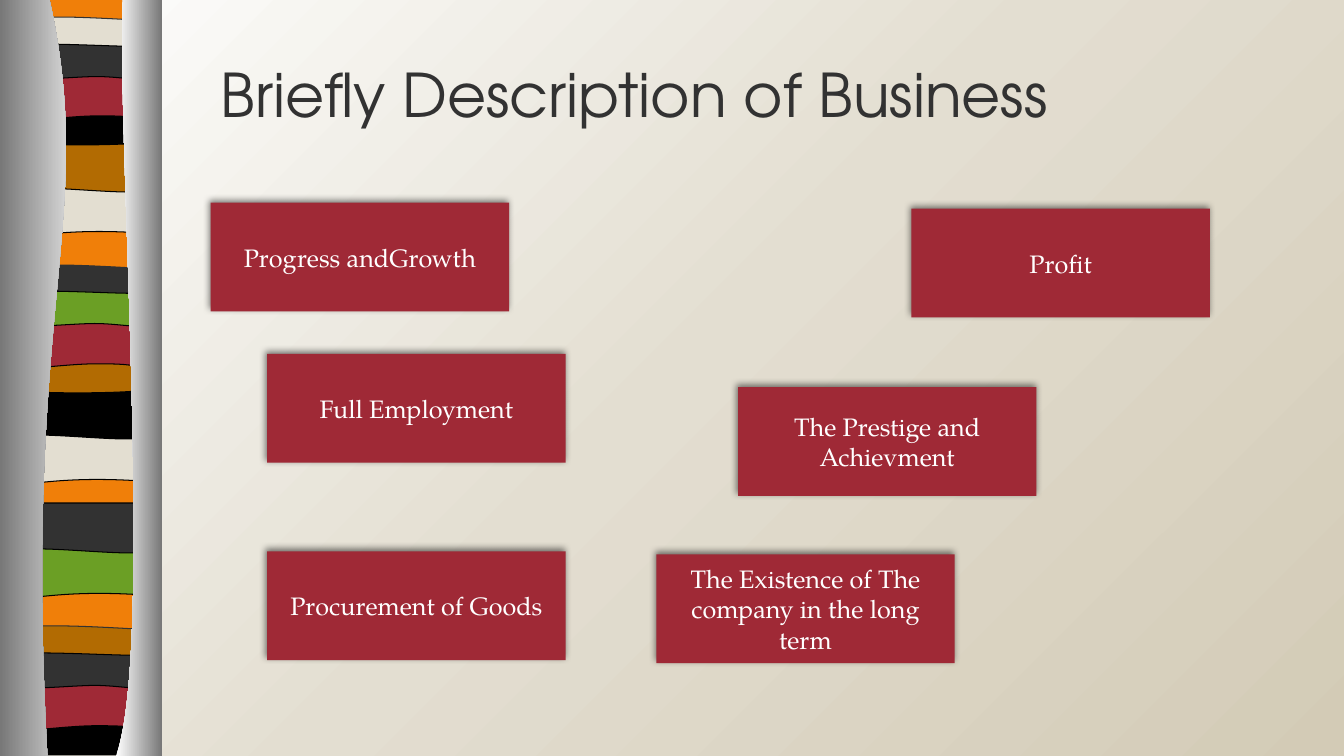
from copy import deepcopy

from lxml.etree import SubElement
from pptx import Presentation
from pptx.dml.color import RGBColor
from pptx.enum.shapes import MSO_SHAPE as Shape
from pptx.enum.text import MSO_ANCHOR as Anchor, PP_ALIGN as Align
from pptx.oxml.ns import qn
from pptx.util import Inches, Pt

WIDTH, HEIGHT = 13.33, 7.5

ORANGE, CREAM, CHARCOAL, CRIMSON = "F07F09", "E3DED1", "323232", "9F2936"
BLACK, BROWN, GREEN, WHITE, GREY = "000000", "B26B02", "6B9F25", "FFFFFF", "767676"

OUTLINES = {
    "wave": [(1.5, 0), (1.5, 0.47), [(0.46, 0.39), (0.24, 0.55), (0, 0.47)], (0, 0)],
    "swell": [(1.5, 0), (1.5, 0.47), [(1.25, 0.55), (0.46, 0.41), (0, 0.47)], (0, 0)],
    "crest": [(1.5, 0.05), (1.5, 0.29), [(1.25, 0.33), (0.25, 0.33), (0, 0.29)], (0, 0.05),
              [(0.1, 0), (0.33, 0.01), (0.58, 0.01)],
              [(0.83, 0.01), (1.31, 0.04), (1.5, 0.05)]],
    "sag": [(1.5, 0), (1.5, 0.33), [(1.25, 0.38), (0.25, 0.38), (0, 0.33)], (0, 0),
            [(0.92, 0.06), (1.19, 0), (1.5, 0)]],
    "arch": [(1.5, 0), (1.5, 0.47), [(1.27, 0.41), (1.17, 0.41), (0.92, 0.41)],
             [(0.67, 0.41), (0.23, 0.47), (0, 0.47)], (0, 0)],
    "lip": [(1.5, 0.05), (1.5, 0.35), [(1.4, 0.41), (1.17, 0.35), (0.92, 0.35)],
            [(0.68, 0.35), (0.16, 0.41), (0, 0.35)], (0, 0.05),
            [(0.22, 0), (1.02, 0.05), (1.27, 0.05)],
            [(1.51, 0.05), (1.44, 0.05), (1.5, 0.05)]],
    "base": [(1.5, 0), (1.5, 0.37), (0.02, 0.37), (0, 0),
             [(0.92, 0.06), (1.19, 0), (1.5, 0)]],
    "full": [(1.5, 0), (1.5, 7.48), (0, 7.48), (0, 0)],
}

BANDS = [
    ("full", ORANGE, 0.04, -0.01),
    ("wave", CREAM, 0.04, 1.85), ("swell", BROWN, 0.04, 1.41),
    ("crest", CREAM, 0.04, 0.16), ("sag", BLACK, 0.04, 1.07),
    ("arch", CRIMSON, 0.04, 0.74), ("lip", CHARCOAL, 0.04, 0.41),
    ("wave", CREAM, 0.02, 4.31), ("swell", BLACK, 0.02, 3.86),
    ("crest", CHARCOAL, 0.02, 2.62), ("sag", BROWN, 0.02, 3.53),
    ("arch", CRIMSON, 0.02, 3.2), ("lip", GREEN, 0.02, 2.86),
    ("wave", GREEN, 0.04, 5.44), ("swell", CHARCOAL, 0.04, 4.99),
    ("crest", BROWN, 0.02, 6.2), ("base", BLACK, 0.02, 7.12),
    ("arch", CRIMSON, 0.02, 6.79), ("lip", CHARCOAL, 0.02, 6.45),
]

LEFT_PANEL = [(0.49, -0.01), [(0.97, 2.17), (0.22, 2.96), (0.47, 7.5)],
              (0, 7.5), (-0.01, -0.01)]
RIGHT_PANEL = [(1.22, -0.01), [(1.15, 1.25), (1.54, 6.47), (1.15, 7.5)],
               (1.61, 7.5), (1.61, 0)]

GOALS = [
    ("Full Employment", 2.65, 3.51),
    ("The Existence of The company in the long term", 6.51, 5.5),
    ("Procurement of Goods", 2.65, 5.47),
    ("The Prestige and Achievment", 7.32, 3.84),
    ("Progress andGrowth", 2.09, 2.01),
    ("Profit", 9.04, 2.07),
]


def color(hex_text):
    return RGBColor.from_string(hex_text)


def fill_solid(shape, hex_text):
    shape.fill.solid()
    shape.fill.fore_color.rgb = color(hex_text)


def fill_gradient(shape, colors, angle=0):
    shape.fill.gradient()
    shape.fill.gradient_angle = angle
    stop_list = shape.element.spPr.find(qn("a:gradFill")).find(qn("a:gsLst"))
    for _ in colors[2:]:
        stop_list.append(deepcopy(stop_list[0]))
    for index, (stop, hex_text) in enumerate(zip(shape.fill.gradient_stops, colors)):
        stop.color.rgb = color(hex_text)
        stop.position = index / (len(colors) - 1)


def bend_curves(shape, segments):
    outline = next(shape.element.iter(qn("a:path")))
    lines = iter(outline.findall(qn("a:lnTo")))
    for segment in segments:
        line = next(lines)
        if isinstance(segment, list):
            bend = SubElement(outline, qn("a:cubicBezTo"))
            outline.replace(line, bend)
            bend.append(line[0])
            for _ in range(2):
                line = next(lines)
                bend.append(line[0])
                outline.remove(line)


def add_outline(slide, outline, left=0, top=0):
    points = []
    for segment in outline:
        points += segment if isinstance(segment, list) else [segment]
    corners = [(Inches(left + x), Inches(top + y)) for x, y in points]
    builder = slide.shapes.build_freeform(*corners[0])
    builder.add_line_segments(corners[1:], close=True)
    shape = builder.convert_to_shape()
    bend_curves(shape, outline[1:])
    shape.shadow.inherit = False
    shape.line.fill.background()
    return shape


def add_band(slide, kind, hex_text, left, top):
    shape = add_outline(slide, OUTLINES[kind], left, top)
    fill_solid(shape, hex_text)
    shape.line.color.rgb = color(CHARCOAL if kind == "crest" else BLACK)
    shape.line.width = Pt(0.75)


def add_rectangle(slide, left, top, width, height):
    shape = slide.shapes.add_shape(
        Shape.RECTANGLE, Inches(left), Inches(top), Inches(width), Inches(height))
    shape.shadow.inherit = False
    shape.line.fill.background()
    return shape


def add_shadow(shape):
    effects = shape.element.spPr.find(qn("a:effectLst"))
    shadow = SubElement(effects, qn("a:outerShdw"), blurRad=str(Pt(5)), dist=str(Pt(2)),
                        dir=str(245 * 60000), rotWithShape="0")
    tint = SubElement(shadow, qn("a:srgbClr"), val=BLACK)
    SubElement(tint, qn("a:alpha"), val="50000")


def write(shape, text, size, font_name, hex_text, alignment):
    text_frame = shape.text_frame
    text_frame.word_wrap = True
    text_frame.vertical_anchor = Anchor.MIDDLE
    text_frame.text = text
    paragraph = text_frame.paragraphs[0]
    paragraph.alignment = alignment
    font = paragraph.runs[0].font
    font.size = Pt(size)
    font.name = font_name
    font.color.rgb = color(hex_text)


def add_goal(slide, text, left, top):
    shape = add_rectangle(slide, left, top, 2.96, 1.08)
    fill_solid(shape, CRIMSON)
    add_shadow(shape)
    write(shape, text, 18, "TeX Gyre Pagella", WHITE, Align.CENTER)


def add_title(slide, text):
    box = slide.shapes.add_textbox(Inches(2.09), Inches(0.3), Inches(10.93), Inches(1.25))
    write(box, text, 43, "TeX Gyre Adventor", CHARCOAL, Align.LEFT)


def main():
    presentation = Presentation()
    presentation.slide_width = Inches(WIDTH)
    presentation.slide_height = Inches(HEIGHT)
    slide = presentation.slides.add_slide(presentation.slide_layouts[6])

    backdrop = add_rectangle(slide, 0, 0, WIDTH, HEIGHT)
    fill_gradient(backdrop, [WHITE, CREAM, "D3CBB6"], 315)
    for band in BANDS:
        add_band(slide, *band)
    fill_gradient(add_outline(slide, LEFT_PANEL), [GREY, WHITE])
    fill_gradient(add_outline(slide, RIGHT_PANEL), [WHITE, GREY])

    add_title(slide, "Briefly Description of Business")
    for goal in GOALS:
        add_goal(slide, *goal)
    presentation.save("out.pptx")


if __name__ == "__main__":
    main()
